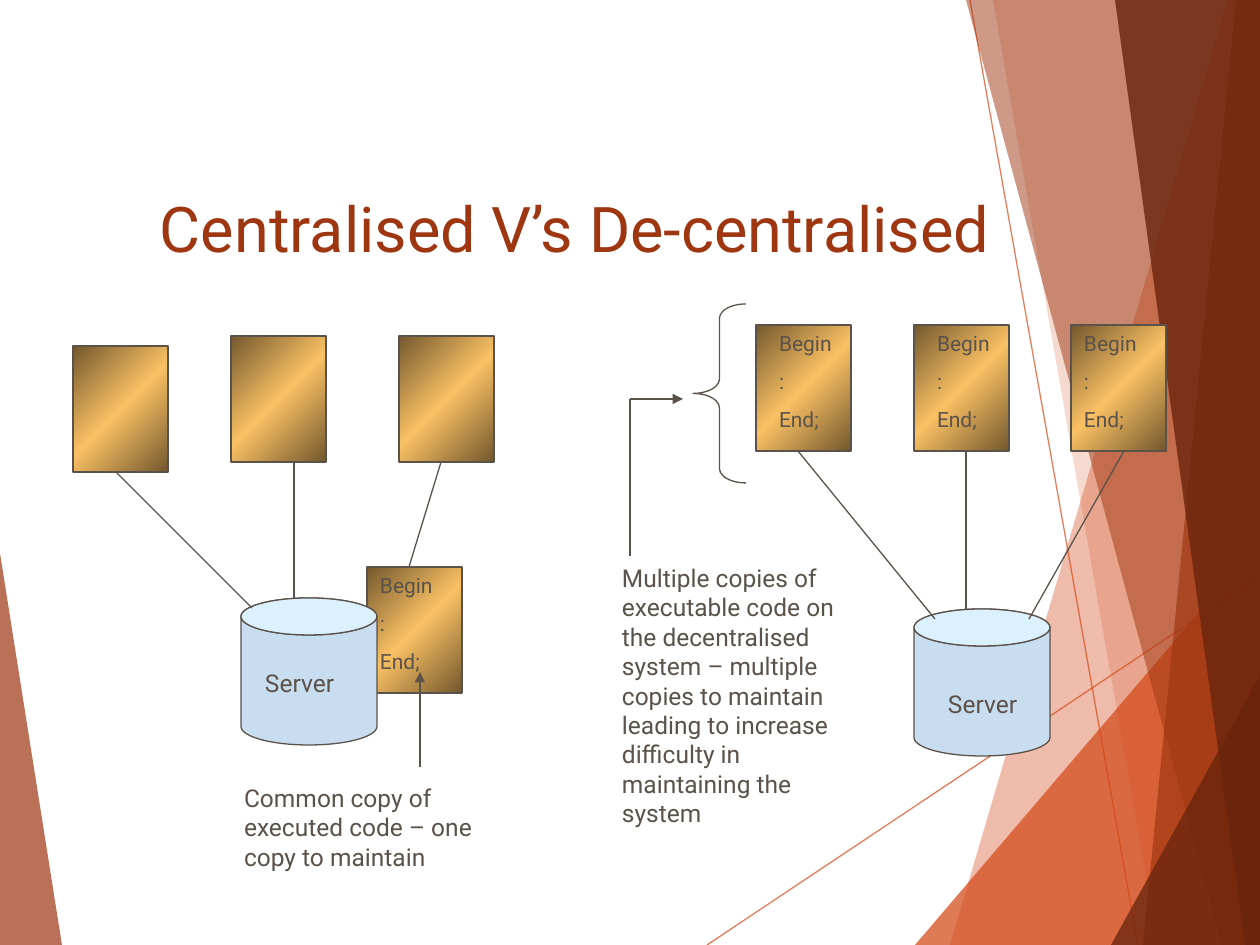
from lxml import etree
from pptx import Presentation
from pptx.dml.color import RGBColor
from pptx.enum.shapes import MSO_CONNECTOR, MSO_SHAPE
from pptx.enum.text import MSO_ANCHOR
from pptx.oxml import parse_xml
from pptx.oxml.ns import nsdecls, qn
from pptx.util import Emu, Pt

STRAIGHT = MSO_CONNECTOR.STRAIGHT
RECTANGLE, CAN, OVAL, LEFT_BRACE = (
    MSO_SHAPE.RECTANGLE, MSO_SHAPE.CAN, MSO_SHAPE.OVAL, MSO_SHAPE.LEFT_BRACE)
TOP, BOTTOM = MSO_ANCHOR.TOP, MSO_ANCHOR.BOTTOM

SCALE = 914400 / 126
WIDTH, HEIGHT = 1260, 945
CARD_WIDTH, CARD_HEIGHT = 95, 126
SERVER_WIDTH, SERVER_HEIGHT, LID_HEIGHT = 136, 147, 37
FONT = "Roboto"
ORANGE, RUST, BROWN, INK = "D34817", "9E3611", "69240C", "5B5249"
CODE = ["Begin", ":", "End;"]

FACETS = [
    ([(1228, 0), (950, 945), (1260, 945), (1260, 0)], ORANGE, 36),
    ([(993, 0), (1158, 945), (1260, 945), (1260, 0)], ORANGE, 20),
    ([(915, 945), (1260, 541), (1260, 945)], ORANGE, 72),
    ([(966, 0), (1222, 945), (1260, 945), (1260, 0)], RUST, 50),
    ([(1236, 0), (1143, 945), (1260, 945), (1260, 0)], RUST, 66),
    ([(1115, 0), (1245, 945), (1260, 945), (1260, 0)], BROWN, 80),
    ([(1111, 945), (1260, 676), (1260, 945)], BROWN, 76),
    ([(0, 553), (62, 945), (0, 945)], RUST, 70),
]


def px(value):
    return Emu(round(value * SCALE))


def color(value):
    return RGBColor.from_string(value)


def set_alpha(shape, percent):
    for element in shape._element.iter(qn("a:srgbClr")):
        etree.SubElement(element, qn("a:alpha"), val=str(percent * 1000))


def write(shape, lines, size=14, ink=INK, anchor=TOP, before=0, spacing=None, inset=13):
    frame = shape.text_frame
    frame.word_wrap = True
    frame.vertical_anchor = anchor
    frame.margin_left = px(inset)
    frame.margin_right = px(0 if inset > 13 else 13)
    frame.margin_top = frame.margin_bottom = px(6)
    for index, line in enumerate(lines):
        paragraph = frame.add_paragraph() if index else frame.paragraphs[0]
        paragraph.text = line
        paragraph.alignment = 1
        paragraph.line_spacing = spacing
        if index:
            paragraph.space_before = Pt(before)
        paragraph.font.size = Pt(size)
        paragraph.font.name = FONT
        paragraph.font.color.rgb = color(ink)


def add_text(slide, text, left, top, width, height, **style):
    box = slide.shapes.add_textbox(px(left), px(top), px(width), px(height))
    write(box, [text], **style)


def add_preset(slide, kind, left, top, width, height, fill=None):
    shape = slide.shapes.add_shape(kind, px(left), px(top), px(width), px(height))
    shape.shadow.inherit = False
    shape.line.color.rgb = color(INK)
    shape.line.width = Pt(0.75)
    if fill:
        shape.fill.solid()
        shape.fill.fore_color.rgb = color(fill)
    else:
        shape.fill.background()
    return shape


def add_line(slide, start, end, ink=INK, alpha=None, arrow=False):
    line = slide.shapes.add_connector(STRAIGHT, *map(px, start + end))
    line.line.color.rgb = color(ink)
    line.line.width = Pt(0.75)
    if alpha:
        set_alpha(line, alpha)
    if arrow:
        etree.SubElement(line.line._get_or_add_ln(), qn("a:tailEnd"), type="triangle")
    etree.SubElement(line._element.spPr, qn("a:effectLst"))


def add_card(slide, left, top, inset=None):
    card = add_preset(slide, RECTANGLE, left, top, CARD_WIDTH, CARD_HEIGHT)
    stops = "".join(
        f'<a:gs pos="{place}"><a:srgbClr val="{value}"/></a:gs>'
        for place, value in ((0, "73582E"), (50000, "FAC164"), (100000, "73582E")))
    gradient = parse_xml(
        f'<a:gradFill {nsdecls("a")} rotWithShape="1"><a:gsLst>{stops}</a:gsLst>'
        '<a:lin ang="2700000" scaled="0"/></a:gradFill>')
    properties = card._element.spPr
    properties.replace(properties.find(qn("a:noFill")), gradient)
    if inset:
        write(card, CODE, size=12, before=7.3, inset=inset)


def add_server(slide, left, top):
    body = add_preset(slide, CAN, left, top, SERVER_WIDTH, SERVER_HEIGHT, "C9DDF1")
    body.adjustments[0] = LID_HEIGHT / SERVER_WIDTH
    add_preset(slide, OVAL, left, top, SERVER_WIDTH, LID_HEIGHT, "DBF1FF")


def add_background(slide):
    add_line(slide, (707, 945), (1260, 576), ORANGE, 70)
    add_line(slide, (970, 0), (1138, 945), ORANGE, 70)
    for points, fill, alpha in FACETS:
        builder = slide.shapes.build_freeform(*points[0], scale=SCALE)
        builder.add_line_segments(points[1:], close=True)
        facet = builder.convert_to_shape()
        facet.shadow.inherit = False
        facet.fill.solid()
        facet.fill.fore_color.rgb = color(fill)
        facet.line.fill.background()
        set_alpha(facet, alpha)


def add_centralised(slide, left, top):
    for x, y in ((0, 10), (158, 0), (326, 0)):
        add_card(slide, left + x, top + y)
    add_card(slide, left + 294, top + 231, inset=13)
    add_server(slide, left + 168, top + 262)
    for start, end in (((43, 136), (179, 272)), ((221, 126), (221, 262)),
                       ((368, 126), (336, 231))):
        add_line(slide, (left + start[0], top + start[1]), (left + end[0], top + end[1]))
    add_text(slide, "Common copy of executed code – one copy to maintain",
             left + 158, top + 441, 294, 101)
    add_line(slide, (left + 347, top + 431), (left + 347, top + 336), arrow=True)
    add_text(slide, "Server", left + 179, top + 326, 105, 43)


def add_decentralised(slide, left, top):
    for x, inset in ((147, 23), (305, 23), (462, 13)):
        add_card(slide, left + x, top + 21, inset)
    add_server(slide, left + 305, top + 305)
    for start, end in (((189, 147), (326, 315)), ((357, 147), (357, 305)),
                       ((515, 147), (420, 315))):
        add_line(slide, (left + start[0], top + start[1]), (left + end[0], top + end[1]))
    add_text(slide, "Multiple copies of executable code on the decentralised system – "
             "multiple copies to maintain leading to increase difficulty in "
             "maintaining the system", left, top + 253, 262, 277)
    brace = add_preset(slide, LEFT_BRACE, left + 84, top, 53, 179)
    brace.adjustments[0] = 0.27
    corner = (left + 21, top + 95)
    add_line(slide, corner, (left + 21, top + 252))
    add_line(slide, corner, (left + 74, top + 95), arrow=True)
    add_text(slide, "Server", left + 326, top + 379, 105, 43)


def main():
    presentation = Presentation()
    presentation.slide_width = px(WIDTH)
    presentation.slide_height = px(HEIGHT)
    slide = presentation.slides.add_slide(presentation.slide_layouts[6])
    add_background(slide)
    add_text(slide, "Centralised V’s De-centralised", 147, 116, 1071, 157,
             size=36, ink=RUST, anchor=BOTTOM, spacing=0.95)
    add_centralised(slide, 73, 336)
    add_decentralised(slide, 609, 304)
    presentation.save("out.pptx")


if __name__ == "__main__":
    main()
